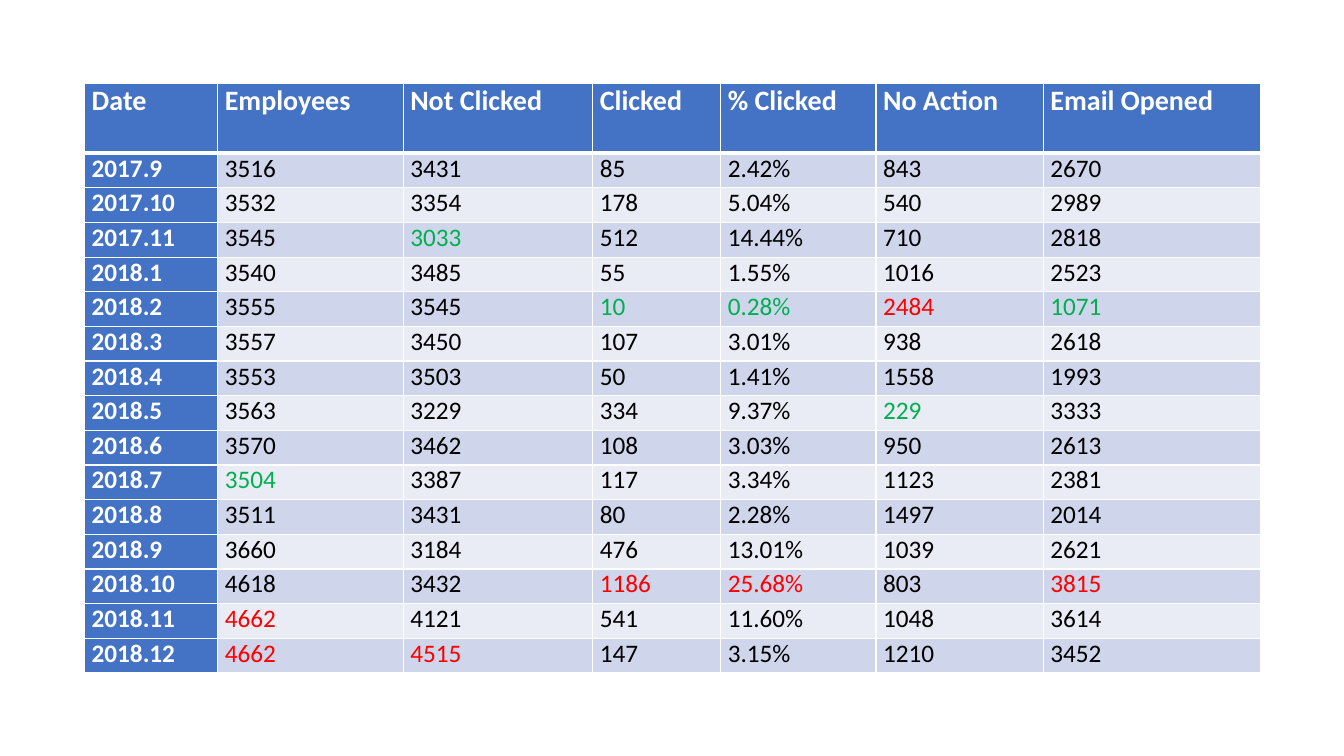
from typing import NamedTuple

from lxml.etree import SubElement
from pptx import Presentation
from pptx.dml.color import RGBColor
from pptx.oxml.ns import qn
from pptx.table import Table, _Cell as Cell
from pptx.util import Inches, Pt

FONT = "Calibri"
WHITE, BLACK = "FFFFFF", "000000"
BLUE, BANDS = "4472C4", ("CFD5EA", "E9EBF5")
LOWEST, HIGHEST = "00B050", "FF0000"

LEFT, TOP = 0.84, 0.83
HEADER_HEIGHT, ROW_HEIGHT = 0.69, 0.344
THIN, THICK = 1, 3


class Column(NamedTuple):
    title: str
    width: float


class Month(NamedTuple):
    date: str
    employees: int
    not_clicked: int
    clicked: int
    percent_clicked: float
    no_action: int
    opened: int


class CellStyle(NamedTuple):
    fill: str
    color: str
    size: int = 18
    bold: bool = False
    top: int = THIN
    bottom: int = THIN


COLUMNS = [
    Column("Date", 1.32),
    Column("Employees", 1.84),
    Column("Not Clicked", 1.88),
    Column("Clicked", 1.27),
    Column("% Clicked", 1.54),
    Column("No Action", 1.66),
    Column("Email Opened", 2.15),
]

MONTHS = [
    Month("2017.9", 3516, 3431, 85, 2.42, 843, 2670),
    Month("2017.10", 3532, 3354, 178, 5.04, 540, 2989),
    Month("2017.11", 3545, 3033, 512, 14.44, 710, 2818),
    Month("2018.1", 3540, 3485, 55, 1.55, 1016, 2523),
    Month("2018.2", 3555, 3545, 10, 0.28, 2484, 1071),
    Month("2018.3", 3557, 3450, 107, 3.01, 938, 2618),
    Month("2018.4", 3553, 3503, 50, 1.41, 1558, 1993),
    Month("2018.5", 3563, 3229, 334, 9.37, 229, 3333),
    Month("2018.6", 3570, 3462, 108, 3.03, 950, 2613),
    Month("2018.7", 3504, 3387, 117, 3.34, 1123, 2381),
    Month("2018.8", 3511, 3431, 80, 2.28, 1497, 2014),
    Month("2018.9", 3660, 3184, 476, 13.01, 1039, 2621),
    Month("2018.10", 4618, 3432, 1186, 25.68, 803, 3815),
    Month("2018.11", 4662, 4121, 541, 11.60, 1048, 3614),
    Month("2018.12", 4662, 4515, 147, 3.15, 1210, 3452),
]


def rgb(color: str) -> RGBColor:
    return RGBColor.from_string(color)


def set_borders(cell: Cell, top: int, bottom: int) -> None:
    properties = cell._tc.get_or_add_tcPr()
    for side, width in (("L", THIN), ("R", THIN), ("T", top), ("B", bottom)):
        line = SubElement(properties, qn(f"a:ln{side}"), w=str(Pt(width)))
        fill = SubElement(line, qn("a:solidFill"))
        SubElement(fill, qn("a:srgbClr"), val=WHITE)


def write_cell(cell: Cell, text: str, style: CellStyle) -> None:
    # Borders must precede the fill in the cell properties
    set_borders(cell, style.top, style.bottom)
    cell.fill.solid()
    cell.fill.fore_color.rgb = rgb(style.fill)
    cell.margin_left = cell.margin_right = Inches(0.07)
    cell.margin_top = cell.margin_bottom = 0
    cell.text = text
    font = cell.text_frame.paragraphs[0].font
    font.name, font.size, font.bold = FONT, Pt(style.size), style.bold
    font.color.rgb = rgb(style.color)


def value_color(value: float, column_values: list[float]) -> str:
    if value == min(column_values):
        return LOWEST
    return HIGHEST if value == max(column_values) else BLACK


def fill_header(table: Table) -> None:
    style = CellStyle(BLUE, WHITE, size=20, bold=True, bottom=THICK)
    for index, column in enumerate(COLUMNS):
        table.columns[index].width = Inches(column.width)
        write_cell(table.cell(0, index), column.title, style)


def fill_months(table: Table) -> None:
    column_values = list(zip(*MONTHS))
    for row, month in enumerate(MONTHS, start=1):
        table.rows[row].height = Inches(ROW_HEIGHT)
        top = THICK if row == 1 else THIN
        date_style = CellStyle(BLUE, WHITE, bold=True, top=top)
        write_cell(table.cell(row, 0), month.date, date_style)
        band = BANDS[(row - 1) % 2]
        for index, value in enumerate(month[1:], start=1):
            text = f"{value:.2f}%" if isinstance(value, float) else str(value)
            color = value_color(value, column_values[index])
            write_cell(table.cell(row, index), text, CellStyle(band, color, top=top))


def main() -> None:
    presentation = Presentation()
    presentation.slide_width = Inches(13.33)
    presentation.slide_height = Inches(7.5)
    slide = presentation.slides.add_slide(presentation.slide_layouts[6])

    # Click results by month, with each column's extremes highlighted
    width = sum(column.width for column in COLUMNS)
    height = HEADER_HEIGHT + ROW_HEIGHT * len(MONTHS)
    table = slide.shapes.add_table(
        len(MONTHS) + 1, len(COLUMNS),
        Inches(LEFT), Inches(TOP), Inches(width), Inches(height),
    ).table
    table.first_col = True
    table.rows[0].height = Inches(HEADER_HEIGHT)
    fill_header(table)
    fill_months(table)

    presentation.save("out.pptx")


if __name__ == "__main__":
    main()
